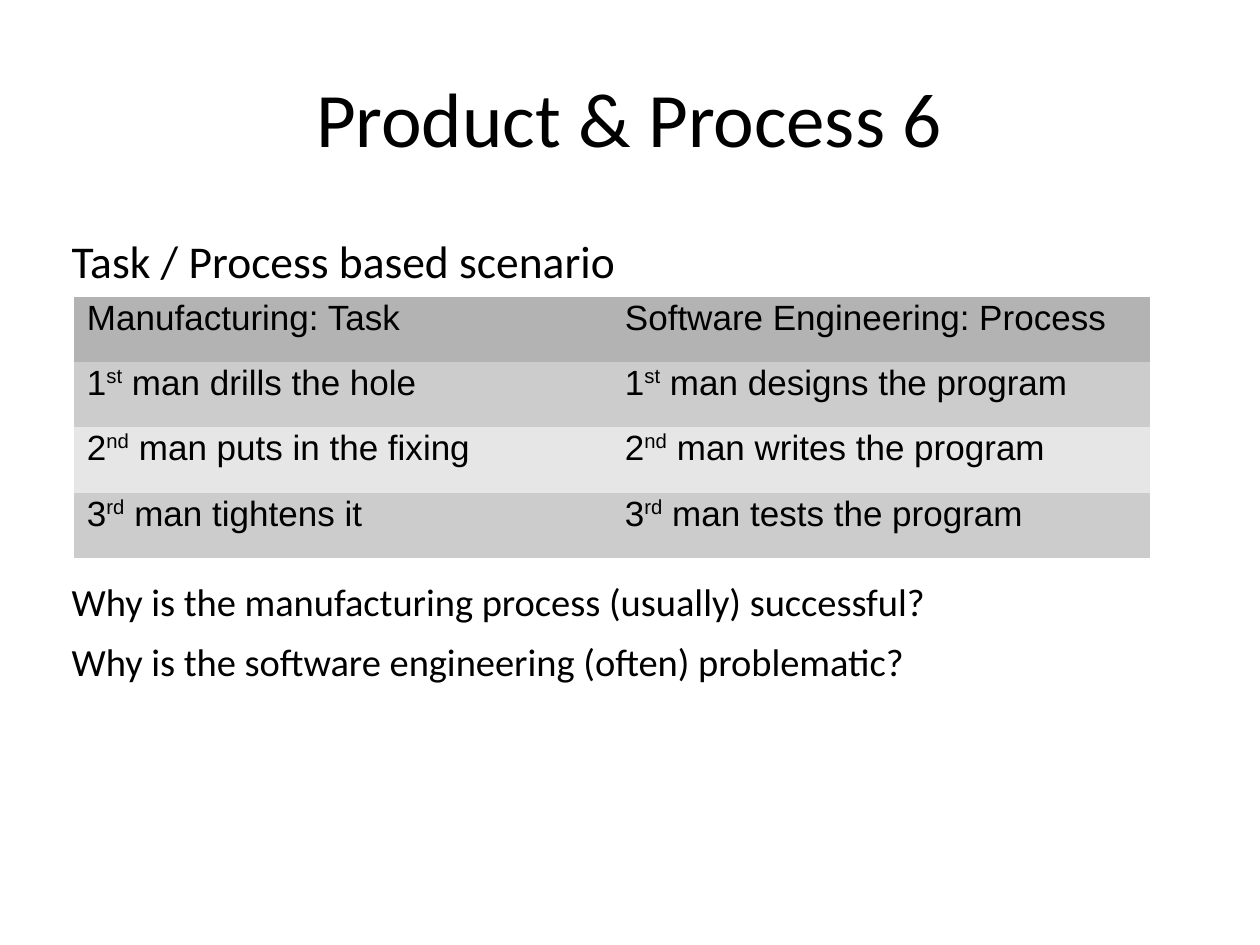
from pptx import Presentation
from pptx.dml.color import RGBColor
from pptx.enum.text import MSO_ANCHOR, PP_ALIGN
from pptx.util import Inches, Pt

MIDDLE = MSO_ANCHOR.MIDDLE
TOP = MSO_ANCHOR.TOP
LEFT = PP_ALIGN.LEFT
CENTER = PP_ALIGN.CENTER
NO_STYLE = "{2D5ABB26-0587-4C30-8999-92F81FD0307C}"

ROWS = [
    ("Manufacturing: Task", "Software Engineering: Process"),
    ("1^st^ man drills the hole", "1^st^ man designs the program"),
    ("2^nd^ man puts in the fixing", "2^nd^ man writes the program"),
    ("3^rd^ man tightens it", "3^rd^ man tests the program"),
]
ROW_FILLS = ["B3B3B3", "CCCCCC", "E6E6E6", "CCCCCC"]
ROW_HEIGHTS = [0.51, 0.52, 0.52, 0.52]
COLUMN_WIDTH = 4.27
QUESTIONS = [
    "Why is the manufacturing process (usually) successful?",
    "Why is the software engineering (often) problematic?",
]


def color(value):
    """Return the colour for a hex string."""
    return RGBColor.from_string(value)


def write(paragraph, text, size, font="Calibri", hex_color="000000",
          align=LEFT, space_before=0, line_spacing=None):
    """Fill a paragraph with text, raising the parts between carets."""
    paragraph.alignment = align
    paragraph.space_before = Pt(space_before)
    paragraph.line_spacing = line_spacing
    for index, part in enumerate(text.split("^")):
        run = paragraph.add_run()
        run.text = part
        run.font.size = Pt(size)
        run.font.name = font
        run.font.color.rgb = color(hex_color)
        if index % 2:
            run.font._element.set("baseline", "33000")


def add_text(slide, lines, left, top, width, height, anchor=TOP,
             gap=0, **text_format):
    """Add a wrapped text box with one paragraph per line."""
    frame = slide.shapes.add_textbox(
        Inches(left), Inches(top), Inches(width), Inches(height)).text_frame
    frame.word_wrap = True
    frame.vertical_anchor = anchor
    for index, line in enumerate(lines):
        paragraph = frame.add_paragraph() if index else frame.paragraphs[0]
        write(paragraph, line, space_before=gap if index else 0, **text_format)


def add_scenario_table(slide, left, top):
    """Add the table that compares the two kinds of work."""
    columns = len(ROWS[0])
    frame = slide.shapes.add_table(
        len(ROWS), columns, Inches(left), Inches(top),
        Inches(COLUMN_WIDTH * columns), Inches(sum(ROW_HEIGHTS)))
    table = frame.table
    table.first_row = False
    table.horz_banding = False
    table._tbl.tblPr[0].text = NO_STYLE
    for column in table.columns:
        column.width = Inches(COLUMN_WIDTH)
    for row, height, fill, texts in zip(table.rows, ROW_HEIGHTS, ROW_FILLS, ROWS):
        row.height = Inches(height)
        for cell, text in zip(row.cells, texts):
            cell.fill.solid()
            cell.fill.fore_color.rgb = color(fill)
            write(cell.text_frame.paragraphs[0], text, 20, font="Arial",
                  line_spacing=0.87)


def main():
    """Build the slide and save it."""
    presentation = Presentation()
    presentation.slide_width = Inches(10)
    presentation.slide_height = Inches(7.5)
    slide = presentation.slides.add_slide(presentation.slide_layouts[6])
    add_text(slide, ["Product & Process 6"], 0.5, 0.14, 8.99, 1.57,
             anchor=MIDDLE, size=44, align=CENTER)
    add_text(slide, ["Task / Process based scenario"], 0.47, 1.8, 8.99, 0.54,
             size=26)
    add_scenario_table(slide, 0.59, 2.36)
    add_text(slide, QUESTIONS, 0.47, 4.54, 8.99, 2.18, size=22, gap=8)
    presentation.save("out.pptx")


if __name__ == "__main__":
    main()
